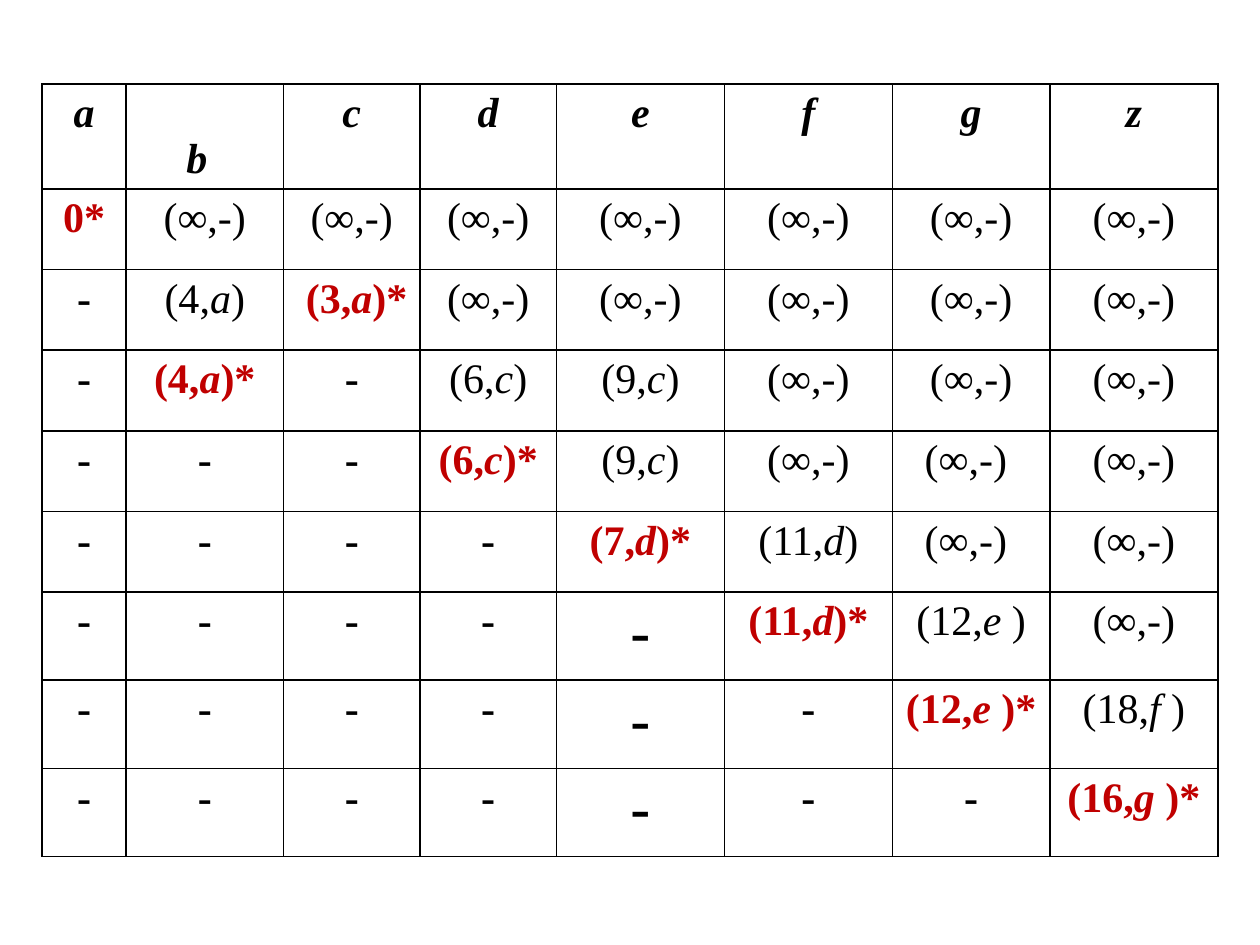
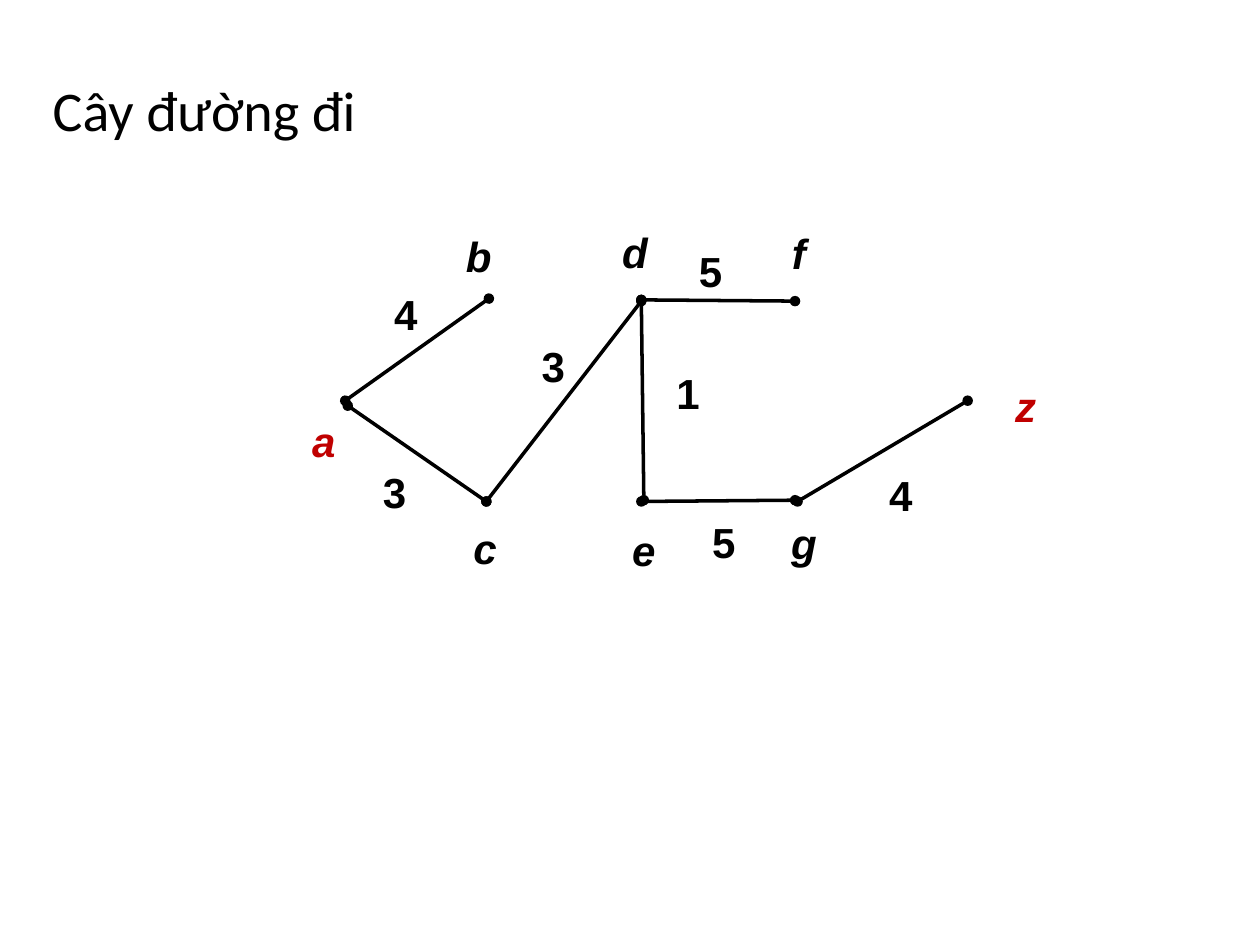
from itertools import groupby

from lxml import etree
from pptx import Presentation
from pptx.dml.color import RGBColor
from pptx.enum.shapes import MSO_CONNECTOR
from pptx.enum.text import MSO_ANCHOR, PP_ALIGN
from pptx.oxml.ns import qn
from pptx.util import Inches, Pt

LEFT, CENTER, RIGHT = PP_ALIGN.LEFT, PP_ALIGN.CENTER, PP_ALIGN.RIGHT
BOTTOM = MSO_ANCHOR.BOTTOM
STRAIGHT = MSO_CONNECTOR.STRAIGHT

COLORS = {"ink": "000000", "chosen": "C00000", "paper": "FFFFFF"}
TABLE_FONT, GRAPH_FONT, TITLE_FONT = "Times New Roman", "Arial", "Calibri"
INDENT = 0.38

# Slide 1: one row per step; a star marks the vertex chosen in that step
INF = "(∞,-)"
HEADER = list("abcdefgz")
STEPS = [
    ["0*"] + [INF] * 7,
    ["-", "(4,a)", "(3,a)*"] + [INF] * 5,
    ["-", "(4,a)*", "-", "(6,c)", "(9,c)", INF, INF, INF],
    ["-", "-", "-", "(6,c)*", "(9,c)", INF, INF + " ", INF],
    ["-", "-", "-", "-", "(7,d)*", "(11,d)", INF + " ", INF],
    ["-", "-", "-", "-", "-", "(11,d)*", "(12,e )", INF],
    ["-", "-", "-", "-", "-", "-", "(12,e )*", "(18,f )"],
    ["-", "-", "-", "-", "-", "-", "-", "(16,g )*"],
]
GRID = 1 / 12  # inches per column unit
TABLE_AT = (4 * GRID, 8 * GRID)
COL_WIDTHS = [n * GRID for n in (8, 15, 13, 13, 16, 16, 15, 16)]
ROW_HEIGHTS = [10 * GRID] + [0.64] * 5 + [0.7] * 3
LOW_HEADER = "b"
RIGHT_ALIGNED = {"(3,a)*"}
BIG_DASHES = {(row, 4) for row in (6, 7, 8)}

# Slide 2
TITLE = "Cây đường đi"
TITLE_BOX = (0.32, 0.55, 6.58, 1.03)
# vertex -> label box
VERTICES = {
    "a": (2.33, 3.25, 0.48, 0.49),
    "b": (3.56, 1.78, 0.48, 0.47),
    "c": (3.61, 4.1, 0.48, 0.47),
    "d": (4.8, 1.75, 0.48, 0.47),
    "e": (4.89, 4.11, 0.44, 0.47),
    "f": (6.1, 1.76, 0.48, 0.47),
    "g": (6.14, 4.06, 0.48, 0.47),
    "z": (7.94, 2.97, 0.4, 0.47),
}
ENDPOINTS = "az"
# start, end, weight, weight box
EDGES = [
    ((2.76, 3.22), (3.86, 3.98), "3", (2.94, 3.65, 0.38, 0.47)),
    ((3.86, 3.98), (5.09, 2.39), "3", (4.2, 2.65, 0.36, 0.47)),
    ((5.09, 3.98), (6.31, 3.97), "5", (5.5, 4.05, 0.49, 0.47)),
    ((3.88, 2.37), (2.74, 3.18), "4", (3.03, 2.24, 0.38, 0.47)),
    ((5.09, 2.38), (6.31, 2.39), "5", (5.4, 1.9, 0.48, 0.47)),
    ((6.33, 3.98), (7.68, 3.18), "4", (6.9, 3.68, 0.5, 0.47)),
    ((5.09, 2.38), (5.11, 3.97), "1", (5.14, 2.87, 0.64, 0.47)),
]


def rgb(name):
    return RGBColor.from_string(COLORS[name])


def add_run(p, text, font, size=24, color="ink", bold=False, italic=False):
    r = p.add_run()
    r.text = text
    r.font.name, r.font.size = font, Pt(size)
    r.font.color.rgb = rgb(color)
    r.font.bold, r.font.italic = bold, italic


def indent(p, first_line=-INDENT):
    pPr = p._p.get_or_add_pPr()
    pPr.set("marL", str(Inches(INDENT)))
    pPr.set("indent", str(Inches(first_line)))


def space_before(p, percent):
    spacing = etree.SubElement(p._p.get_or_add_pPr(), qn("a:spcBef"))
    etree.SubElement(spacing, qn("a:spcPct"), val=str(percent * 1000))


def add_borders(cell):
    tcPr = cell._tc.get_or_add_tcPr()
    for side in ("lnL", "lnR", "lnT", "lnB"):
        ln = etree.SubElement(tcPr, qn("a:" + side), w=str(Pt(1)))
        fill = etree.SubElement(ln, qn("a:solidFill"))
        etree.SubElement(fill, qn("a:srgbClr"), val=COLORS["ink"])


def fill_cell(cell, text, is_header, big_dash):
    """Write a label: vertex letters in italics, chosen labels in bold red."""
    add_borders(cell)
    cell.fill.background()
    p = cell.text_frame.paragraphs[0]
    indent(p)
    p.alignment = RIGHT if text in RIGHT_ALIGNED else CENTER
    if is_header:
        if text == LOW_HEADER:
            cell.vertical_anchor = BOTTOM
            p.alignment = LEFT
            indent(p, first_line=0)
        add_run(p, text, TABLE_FONT, bold=True, italic=True)
    elif big_dash:
        add_run(p, text, GRAPH_FONT, size=36)
    else:
        chosen = text.endswith("*")
        for is_letter, chars in groupby(text, str.isalpha):
            add_run(p, "".join(chars), TABLE_FONT, color="chosen" if chosen else "ink",
                    bold=chosen or text == "-", italic=is_letter)


def add_textbox(s, box):
    tf = s.shapes.add_textbox(*map(Inches, box)).text_frame
    tf.word_wrap = True
    return tf.paragraphs[0]


def add_label(s, text, box, **style):
    p = add_textbox(s, box)
    p.alignment = CENTER
    space_before(p, 50)
    add_run(p, text, GRAPH_FONT, bold=True, **style)


def add_edge(s, start, end):
    line = s.shapes.add_connector(STRAIGHT, *map(Inches, start + end))
    line.line.color.rgb = rgb("ink")
    line.line.width = Pt(2)
    ln = line.line._get_or_add_ln()
    for tip in ("headEnd", "tailEnd"):
        etree.SubElement(ln, qn("a:" + tip), type="oval")
    etree.SubElement(line._element.spPr, qn("a:effectLst"))


def add_slide(prs):
    s = prs.slides.add_slide(prs.slide_layouts[6])
    s.background.fill.solid()
    s.background.fill.fore_color.rgb = rgb("paper")
    return s


def build_table_slide(prs):
    s = add_slide(prs)
    rows = [HEADER] + STEPS
    size = (sum(COL_WIDTHS), sum(ROW_HEIGHTS))
    table = s.shapes.add_table(len(rows), len(HEADER), *map(Inches, TABLE_AT + size)).table
    table.first_row = table.horz_banding = False
    for col, width in zip(table.columns, COL_WIDTHS):
        col.width = Inches(width)
    for row, height in zip(table.rows, ROW_HEIGHTS):
        row.height = Inches(height)
    for i, row in enumerate(rows):
        for j, text in enumerate(row):
            fill_cell(table.cell(i, j), text, i == 0, (i, j) in BIG_DASHES)


def build_tree_slide(prs):
    s = add_slide(prs)
    for start, end, weight, box in EDGES:
        add_edge(s, start, end)
        add_label(s, weight, box)
    for name, box in VERTICES.items():
        add_label(s, name, box, italic=True, color="chosen" if name in ENDPOINTS else "ink")
    p = add_textbox(s, TITLE_BOX)
    indent(p)
    space_before(p, 20)
    add_run(p, TITLE, TITLE_FONT, size=32)


def main():
    prs = Presentation()
    prs.slide_width, prs.slide_height = Inches(10), Inches(7.5)
    build_table_slide(prs)
    build_tree_slide(prs)
    prs.save("out.pptx")


if __name__ == "__main__":
    main()
